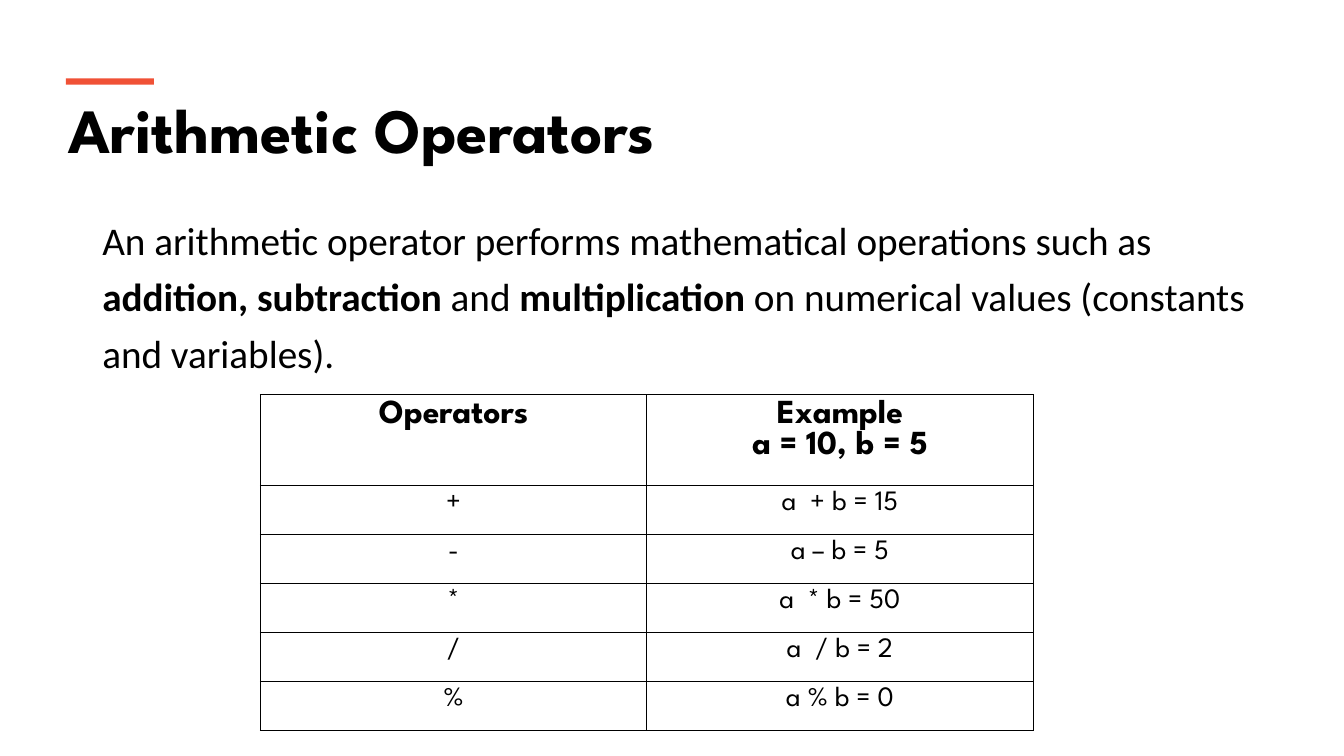
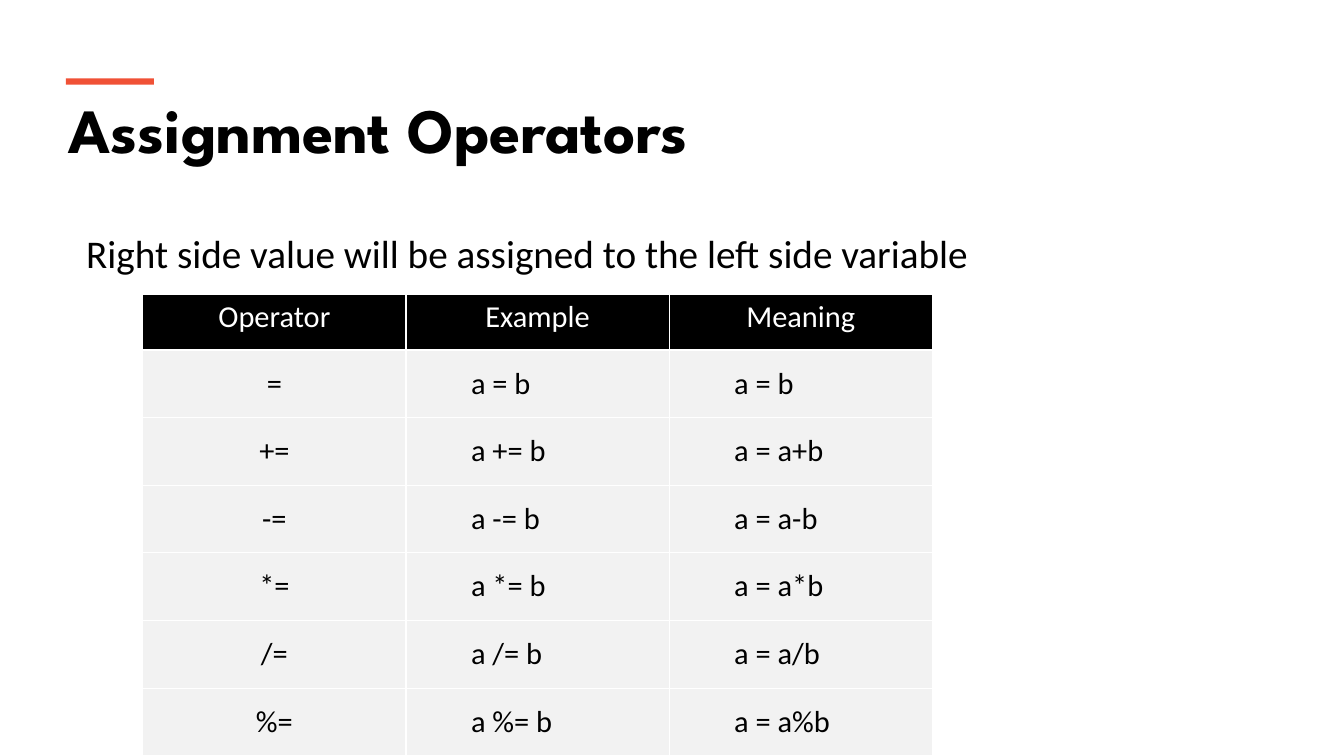
"""Build two slides on arithmetic and assignment operators."""
import lxml.etree
import pptx
import pptx.dml.color
import pptx.enum.shapes
import pptx.enum.text
import pptx.oxml.ns
import pptx.util

Pt = pptx.util.Pt
ALIGN = pptx.enum.text.PP_ALIGN
ANCHOR = pptx.enum.text.MSO_ANCHOR

HEADING_FONT, BODY_FONT = "League Spartan", "Calibri"
BLACK, WHITE, ACCENT, PALE = "000000", "FFFFFF", "F05136", "F2F2F2"

SLIDES = [
    {
        "title": "Arithmetic Operators",
        "intro": {
            "box": (66, 144, 870, 130),
            "spacing": 1.2,
            "runs": [
                ("An arithmetic operator performs mathematical operations such as ", False),
                ("addition, subtraction", True),
                (" and ", False),
                ("multiplication", True),
                (" on numerical values (constants and variables).", False),
            ],
        },
        "table": {
            "left": 186, "top": 282, "width": 552,
            "header_height": 65, "row_height": 35, "border": BLACK,
            "header": {"font": HEADING_FONT, "size": 24, "bold": True, "color": BLACK},
            "body": {"font": HEADING_FONT, "size": 20, "color": BLACK},
            "rows": [
                ("Operators", "Example\na = 10, b = 5"),
                ("+", "a  + b = 15"),
                ("-", "a – b = 5"),
                ("*", "a  * b = 50"),
                ("/", "a  / b = 2"),
                ("%", "a % b = 0"),
            ],
        },
    },
    {
        "title": "Assignment Operators",
        "intro": {
            "box": (54.5, 143.5, 834, 52.5),
            "spacing": 1.5,
            "runs": [("Right side value will be assigned to the left side variable", False)],
        },
        "table": {
            "left": 102, "top": 210, "width": 564,
            "header_height": 40, "row_height": 48.33, "border": WHITE,
            "header": {"font": BODY_FONT, "size": 21.7, "color": WHITE, "fill": BLACK},
            "body": {"font": BODY_FONT, "size": 21.7, "color": BLACK, "fill": PALE,
                     "anchor": ANCHOR.MIDDLE, "indent": 46.5},
            "rows": [
                ("Operator", "Example", "Meaning"),
                ("=", "a = b", "a = b"),
                ("+=", "a += b", "a = a+b"),
                ("-=", "a -= b", "a = a-b"),
                ("*=", "a *= b", "a = a*b"),
                ("/=", "a /= b", "a = a/b"),
                ("%=", "a %= b", "a = a%b"),
            ],
        },
    },
]


def rgb(value):
    return pptx.dml.color.RGBColor.from_string(value)


def add_run(paragraph, text, font, size, color=BLACK, bold=False):
    run = paragraph.add_run()
    run.text = text
    run.font.name = font
    run.font.size = Pt(size)
    run.font.bold = bold
    run.font.color.rgb = rgb(color)


def add_heading(slide, text):
    title = slide.shapes.title
    title.left, title.top, title.width, title.height = map(Pt, (41.5, 60.5, 877, 62))
    frame = title.text_frame
    frame.auto_size = pptx.enum.text.MSO_AUTO_SIZE.NONE
    frame.vertical_anchor = ANCHOR.BOTTOM
    paragraph = frame.paragraphs[0]
    paragraph.alignment = ALIGN.LEFT
    add_run(paragraph, text, HEADING_FONT, 45, bold=True)
    accent_bar = slide.shapes.add_shape(
        pptx.enum.shapes.MSO_SHAPE.RECTANGLE, *map(Pt, (47, 56, 63, 4.5)))
    accent_bar.shadow.inherit = False
    accent_bar.fill.solid()
    accent_bar.fill.fore_color.rgb = rgb(ACCENT)
    accent_bar.line.fill.background()


def add_intro(slide, intro):
    frame = slide.shapes.add_textbox(*map(Pt, intro["box"])).text_frame
    frame.word_wrap = True
    paragraph = frame.paragraphs[0]
    paragraph.line_spacing = intro["spacing"]
    for text, bold in intro["runs"]:
        add_run(paragraph, text, BODY_FONT, 28, bold=bold)


def set_borders(cell, color):
    properties = cell._tc.get_or_add_tcPr()
    for index, side in enumerate(("lnL", "lnR", "lnT", "lnB")):
        line = lxml.etree.Element(pptx.oxml.ns.qn("a:" + side), w=str(Pt(1)))
        fill = lxml.etree.SubElement(line, pptx.oxml.ns.qn("a:solidFill"))
        lxml.etree.SubElement(fill, pptx.oxml.ns.qn("a:srgbClr"), val=color)
        properties.insert(index, line)


def fill_cell(cell, text, style, border, indented):
    if "fill" in style:
        cell.fill.solid()
        cell.fill.fore_color.rgb = rgb(style["fill"])
    else:
        cell.fill.background()
    set_borders(cell, border)
    cell.vertical_anchor = style.get("anchor", ANCHOR.TOP)
    if indented:
        cell.margin_left = Pt(style["indent"])
    frame = cell.text_frame
    for index, line in enumerate(text.split("\n")):
        paragraph = frame.add_paragraph() if index else frame.paragraphs[0]
        paragraph.alignment = ALIGN.LEFT if indented else ALIGN.CENTER
        add_run(paragraph, line, style["font"], style["size"], style["color"],
                style.get("bold", False))


def add_operator_table(slide, data):
    rows = data["rows"]
    column_count = len(rows[0])
    heights = [data["header_height"]] + [data["row_height"]] * (len(rows) - 1)
    table = slide.shapes.add_table(
        len(rows), column_count, Pt(data["left"]), Pt(data["top"]),
        Pt(data["width"]), Pt(sum(heights))).table
    table.first_row = table.horz_banding = False
    for column in table.columns:
        column.width = Pt(data["width"] / column_count)
    for row_index, texts in enumerate(rows):
        table.rows[row_index].height = Pt(heights[row_index])
        style = data["body"] if row_index else data["header"]
        for column_index, text in enumerate(texts):
            fill_cell(table.cell(row_index, column_index), text, style, data["border"],
                      column_index > 0 and "indent" in style)


def main():
    presentation = pptx.Presentation()
    presentation.slide_width, presentation.slide_height = Pt(960), Pt(540)
    for content in SLIDES:
        slide = presentation.slides.add_slide(presentation.slide_layouts[5])
        add_heading(slide, content["title"])
        add_intro(slide, content["intro"])
        add_operator_table(slide, content["table"])
    presentation.save("out.pptx")


if __name__ == "__main__":
    main()
